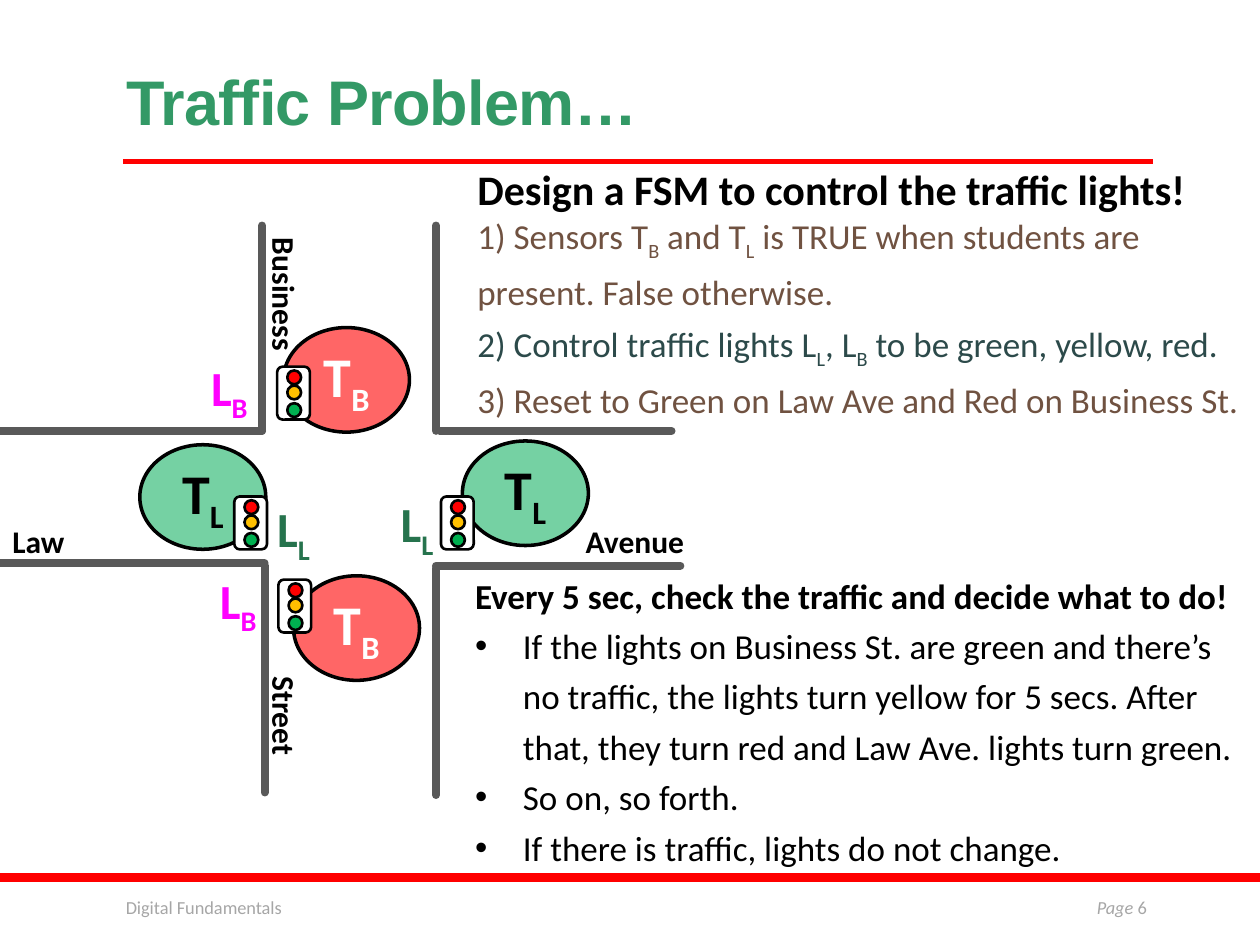
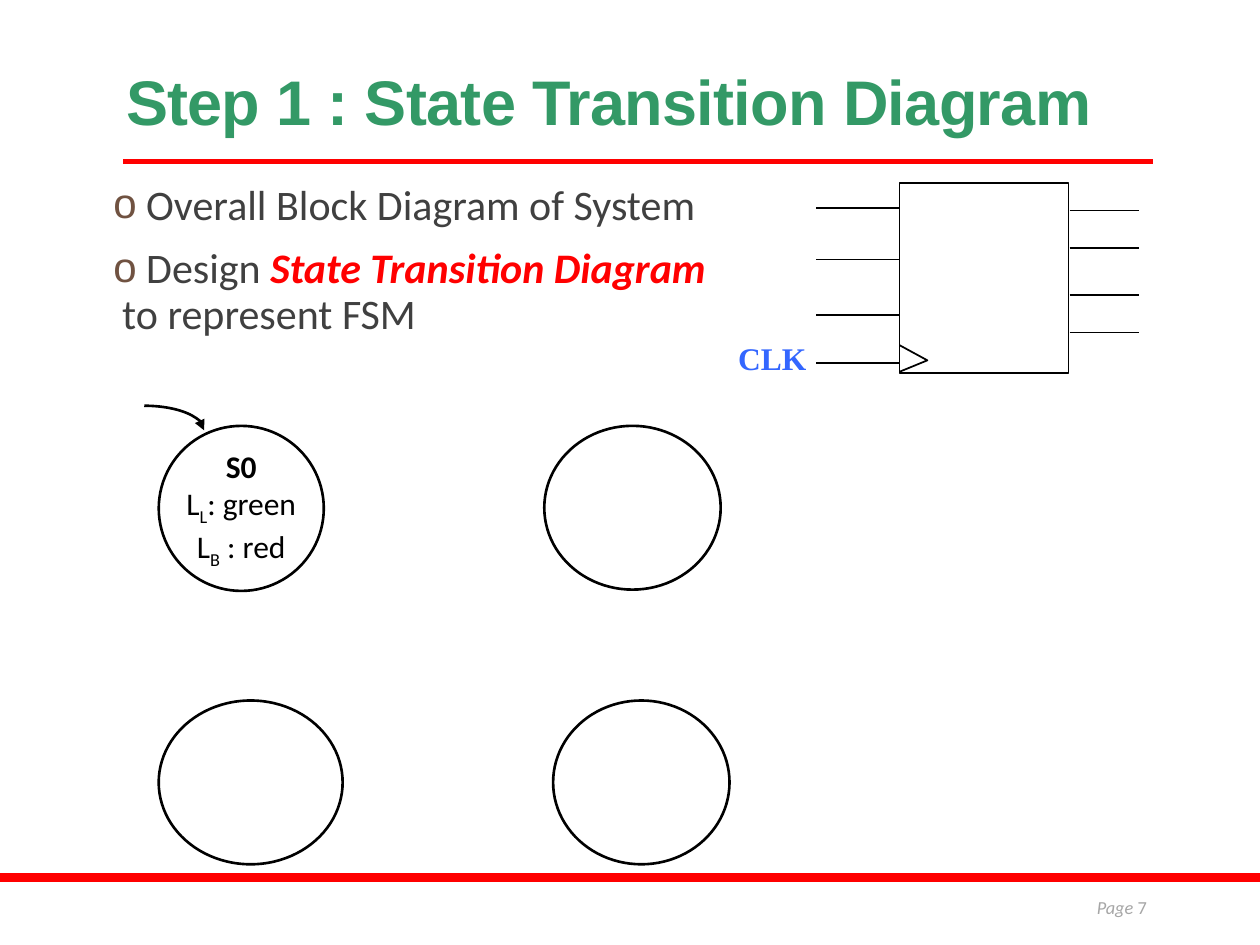
import pptx
import pptx.dml.color
import pptx.enum.shapes
import pptx.enum.text
import pptx.oxml
import pptx.oxml.ns
import pptx.util
from lxml import etree

RGBColor = pptx.dml.color.RGBColor
SHAPE = pptx.enum.shapes.MSO_SHAPE
ALIGN = pptx.enum.text.PP_ALIGN
ANCHOR = pptx.enum.text.MSO_ANCHOR
Pt = pptx.util.Pt

# Shared colours
BLACK = RGBColor(0, 0, 0)
WHITE = RGBColor(0xFF, 0xFF, 0xFF)
RED = RGBColor(0xFF, 0, 0)
AMBER = RGBColor(0xFF, 0xC0, 0)
GREEN = RGBColor(0, 0xB0, 0x50)
TITLE_GREEN = RGBColor(0x33, 0x99, 0x66)
FOOTER_GREY = RGBColor(0xA6, 0xA6, 0xA6)
BODY_GREY = RGBColor(0x40, 0x40, 0x40)
ROAD_GREY = RGBColor(0x59, 0x59, 0x59)
BROWN = RGBColor(0x70, 0x52, 0x41)
TEAL = RGBColor(0x2C, 0x4A, 0x4A)
SALMON = RGBColor(0xFF, 0x66, 0x66)
MINT = RGBColor(0x75, 0xD1, 0xA3)
DARK_GREEN = RGBColor(0x26, 0x73, 0x4D)
MAGENTA = RGBColor(0xFF, 0, 0xFF)
BLUE = RGBColor(0x33, 0x66, 0xFF)

# The grid: 10 columns by 7.5 rows over the whole slide
COLUMNS, ROWS = 10, 7.5
WIDTH, HEIGHT = pptx.util.Inches(10), pptx.util.Inches(7.5)


def column(count):
    return pptx.util.Emu(round(WIDTH * count / COLUMNS))


def row(count):
    return pptx.util.Emu(round(HEIGHT * count / ROWS))


def box(left, top, width, height):
    return column(left), row(top), column(width), row(height)


def add_xml(parent, tag, **attributes):
    child = etree.SubElement(parent, pptx.oxml.ns.qn(tag))
    for name, value in attributes.items():
        child.set(name, str(value))
    return child


# Text
def add_run(paragraph, text, size, color, bold=False, italic=False,
            font="Calibri", baseline=0, tracking=0):
    run = paragraph.add_run()
    run.text = text
    run.font.name, run.font.size = font, Pt(size)
    run.font.bold, run.font.italic = bold, italic
    run.font.color.rgb = color
    properties = run._r.get_or_add_rPr()
    if baseline:
        properties.set("baseline", str(baseline * 1000))
    if tracking:
        properties.set("spc", str(round(tracking * 100)))


def write(frame, text, align=ALIGN.LEFT, spacing=1.0, before=0, after=0,
          bullet=None, bullet_color=None, indent=0, **style):
    """Append a paragraph; text is a string or (string, style changes) pairs.

    An underscore makes the next character a subscript, and a pair whose
    string is a newline breaks the line.
    """
    paragraph = frame.paragraphs[-1]
    if paragraph.runs:
        paragraph = frame.add_paragraph()
    paragraph.alignment, paragraph.line_spacing = align, spacing
    paragraph.space_before, paragraph.space_after = Pt(before), Pt(after)
    properties = paragraph._p.get_or_add_pPr()
    properties.set("marL", str(column(indent)))
    properties.set("indent", str(-column(indent)))
    if bullet_color is not None:
        add_xml(add_xml(properties, "a:buClr"), "a:srgbClr", val=bullet_color)
    if bullet:
        add_xml(properties, "a:buChar", char=bullet)
    else:
        add_xml(properties, "a:buNone")

    for piece, changes in [(text, {})] if isinstance(text, str) else text:
        if piece == "\n":
            paragraph.add_line_break()
            continue
        run_style = {**style, **changes}
        plain, *rest = piece.split("_")
        if plain:
            add_run(paragraph, plain, **run_style)
        for part in rest:
            add_run(paragraph, part[0], **run_style, baseline=-25)
            if part[1:]:
                add_run(paragraph, part[1:], **run_style)


def set_frame(shape, anchor=ANCHOR.TOP, side=0.1, wrap=True):
    frame = shape.text_frame
    frame.auto_size = pptx.enum.text.MSO_AUTO_SIZE.NONE
    frame.word_wrap, frame.vertical_anchor = wrap, anchor
    frame.margin_left = frame.margin_right = column(side)
    frame.margin_top = frame.margin_bottom = row(0.05)
    return frame


def text_box(shapes, place, text=None, wrap=True, rotation=0, **style):
    shape = shapes.add_textbox(*box(*place))
    shape.rotation = rotation
    frame = set_frame(shape, wrap=wrap)
    if text:
        write(frame, text, **style)
    return frame


def fill_placeholder(shape, place, **frame_format):
    shape.left, shape.top, shape.width, shape.height = box(*place)
    return set_frame(shape, **frame_format)


# Shapes and lines
def style_shape(shape, fill, line, width):
    shape.shadow.inherit = False
    if fill is None:
        shape.fill.background()
    else:
        shape.fill.solid()
        shape.fill.fore_color.rgb = fill
    if line is None:
        shape.line.fill.background()
    else:
        shape.line.color.rgb, shape.line.width = line, Pt(width)
    return shape


def add_shape(shapes, kind, place, fill=None, line=BLACK, width=1.5):
    return style_shape(shapes.add_shape(kind, *box(*place)), fill, line, width)


def add_line(shapes, x1, y1, x2, y2, color=BLACK, width=1.0, rounded=False):
    line = shapes.add_connector(pptx.enum.shapes.MSO_CONNECTOR.STRAIGHT,
                                column(x1), row(y1), column(x2), row(y2))
    line.line.color.rgb, line.line.width = color, Pt(width)
    if rounded:
        line.line._get_or_add_ln().set("cap", "rnd")
    add_xml(line._element.spPr, "a:effectLst")


# What both slides share
def start_slide(presentation, title, page, footer=None):
    slide = presentation.slides.add_slide(presentation.slide_layouts[1])
    shapes = slide.shapes
    add_shape(shapes, SHAPE.RECTANGLE, (0, 6.93, 10, 0.07), fill=RED, line=None)
    add_line(shapes, 0.98, 1.28, 9.15, 1.28, RED, 3)
    frame = fill_placeholder(shapes.title, (0.9, 0.31, 8.25, 0.84), anchor=ANCHOR.BOTTOM)
    write(frame, title, spacing=0.85, size=36, color=TITLE_GREEN, bold=True,
          font="Arial", tracking=-0.4)
    small = dict(size=10.5, color=FOOTER_GREY)
    if footer:
        text_box(shapes, (0.9, 7.06, 3.96, 0.4), footer, **small)
    text_box(shapes, (8.12, 7.06, 1.08, 0.4),
             [("Page ", dict(italic=True)), (str(page), {})], align=ALIGN.RIGHT, **small)
    return slide


# Parts of the crossing
def add_roads(shapes):
    roads = shapes.add_group_shape().shapes
    for line in [(2.08, 1.79, 2.08, 3.42), (2.08, 3.42, 0, 3.42),
                 (3.46, 4.49, 5.4, 4.49), (3.46, 4.51, 3.46, 6.31),
                 (5.33, 3.42, 3.49, 3.42), (3.46, 1.79, 3.46, 3.42),
                 (2.1, 4.47, 0, 4.47), (2.1, 4.49, 2.1, 6.29)]:
        add_line(roads, *line, color=ROAD_GREY, width=4.5, rounded=True)


def add_sensor(shapes, left, top, name, fill, color):
    sensor = add_shape(shapes, SHAPE.OVAL, (left, top, 1, 0.83), fill, width=2)
    write(set_frame(sensor, ANCHOR.MIDDLE, side=0), name, align=ALIGN.CENTER,
          size=32, color=color, bold=True)


def add_traffic_light(shapes, left, top, name, color, label_place):
    light = shapes.add_group_shape().shapes
    add_shape(light, SHAPE.ROUNDED_RECTANGLE, (left, top, 0.26, 0.42), WHITE)
    for offset, lamp in [(0.03, RED), (0.15, AMBER), (0.29, GREEN)]:
        add_shape(light, SHAPE.OVAL, (left + 0.08, top + offset, 0.11, 0.11), lamp)
    text_box(light, (*label_place, 0.5, 0.57), name, wrap=False,
             align=ALIGN.CENTER, size=28, color=color, bold=True)


def build_problem(presentation):
    slide = start_slide(presentation, "Traffic Problem…", 6, "Digital Fundamentals")
    shapes = slide.shapes

    # Street names and roads; the vertical names turn about their centres
    for text, place, rotation in [("Law", (0, 4.09, 0.8, 0.4), 0),
                                  ("Avenue", (4.55, 4.09, 1.2, 0.4), 0),
                                  ("Business", (1.56, 2.29, 1.4, 0.4), 90),
                                  ("Street", (1.66, 5.67, 1.2, 0.4), 90)]:
        text_box(shapes, place, text, rotation=rotation, size=18, color=BLACK, bold=True)
    add_roads(shapes)

    # Task
    frame = text_box(shapes, (3.69, 1.58, 6.29, 1.78))
    for text, color in [
            ("1) Sensors T_B and T_L is TRUE when students are present. False otherwise.", BROWN),
            ("2) Control traffic lights L_L, L_B to be green, yellow, red.", TEAL),
            ("3) Reset to Green on Law Ave and Red on Business St.", BROWN)]:
        write(frame, text, spacing=1.2, size=20, color=color)

    # Sensors and lights
    for left, top in [(2.33, 4.57), (2.25, 2.6)]:
        add_sensor(shapes, left, top, "T_B", SALMON, WHITE)
    for left, top in [(1.11, 3.53), (3.67, 3.5)]:
        add_sensor(shapes, left, top, "T_L", MINT, BLACK)
    for left, top, label_place in [(3.5, 3.94, (3.06, 3.87)), (1.86, 3.94, (2.08, 3.91))]:
        add_traffic_light(shapes, left, top, "L_L", DARK_GREEN, label_place)
    for left, top, label_place in [(2.2, 2.91, (1.57, 2.79)), (2.21, 4.6, (1.64, 4.48))]:
        add_traffic_light(shapes, left, top, "L_B", MAGENTA, label_place)

    # Headline and rules
    text_box(shapes, (3.69, 1.25, 5.89, 0.5), "Design a FSM to control the traffic lights!",
             size=24, color=BLACK, bold=True)
    rules = fill_placeholder(slide.placeholders[1], (3.67, 4.44, 6.32, 2.52))
    style = dict(spacing=1.2, size=20, color=BLACK)
    write(rules, "Every 5 sec, check the traffic and decide what to do!", bold=True, **style)
    for text in ["If the lights on Business St. are green and there’s no traffic, the lights "
                 "turn yellow for 5 secs. After that, they turn red and Law Ave. lights "
                 "turn green.",
                 "So on, so forth.",
                 "If there is traffic, lights do not change."]:
        write(rules, text, bullet="•", indent=0.38, **style)


def add_block(shapes):
    block = shapes.add_group_shape().shapes
    add_shape(block, SHAPE.RECTANGLE, (7.14, 1.45, 1.34, 1.51), width=1)
    builder = block.build_freeform(column(7.14), row(2.74))
    builder.add_line_segments([(column(7.36), row(2.86)), (column(7.14), row(2.95))],
                              close=False)
    style_shape(builder.convert_to_shape(), None, BLACK, 1)
    for y in (1.65, 2.06, 2.5, 2.88):
        add_line(block, 6.48, y, 7.14, y)
    for y in (1.67, 1.97, 2.34, 2.64):
        add_line(block, 8.49, y, 9.04, y)
    text_box(block, (5.76, 2.64, 0.75, 0.4), "CLK", size=18, color=BLUE, bold=True,
             font="Times New Roman")


def build_diagram(presentation):
    slide = start_slide(presentation, "Step 1 : State Transition Diagram", 7)
    shapes = slide.shapes

    # Steps
    body = fill_placeholder(slide.placeholders[1], (0.9, 1.41, 8.3, 1.8), side=0)
    emphasis = dict(color=RED, bold=True, italic=True)
    for text in [" Overall Block Diagram of System",
                 [(" Design ", {}), ("State Transition Diagram ", emphasis),
                  ("\n", {}), ("to represent FSM", {})]]:
        write(body, text, spacing=0.9, before=9, after=1.5, bullet="o",
              bullet_color=BROWN, indent=0.07, size=24, color=BODY_GREY)

    # States, with the reset arrow into the first
    first = add_shape(shapes, SHAPE.OVAL, (1.26, 3.38, 1.31, 1.31))
    frame = set_frame(first, ANCHOR.MIDDLE, side=0)
    for text, bold in [("S0", True), ("L_L: green", False), ("L_B : red", False)]:
        write(frame, text, align=ALIGN.CENTER, size=18, color=BLACK, bold=bold)
    for left, top, width in [(1.26, 5.56, 1.46), (4.32, 3.38, 1.4), (4.39, 5.56, 1.4)]:
        add_shape(shapes, SHAPE.OVAL, (left, top, width, 1.3))
    reset = add_shape(shapes, SHAPE.ARC, (0.67, 3.22, 0.95, 0.39))
    add_xml(reset.line._get_or_add_ln(), "a:tailEnd", type="triangle")

    add_block(shapes)


def main():
    presentation = pptx.Presentation()
    presentation.slide_width, presentation.slide_height = WIDTH, HEIGHT
    build_problem(presentation)
    build_diagram(presentation)
    presentation.save("out.pptx")


main()
